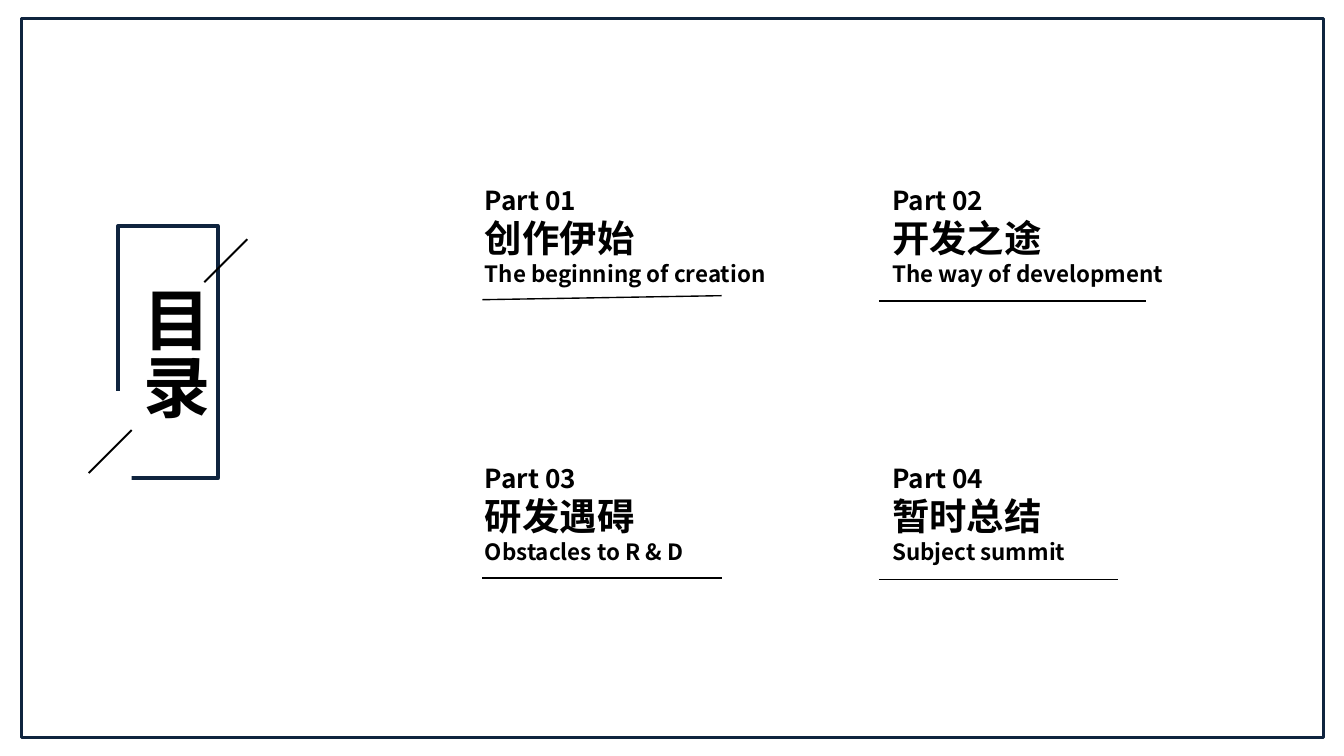
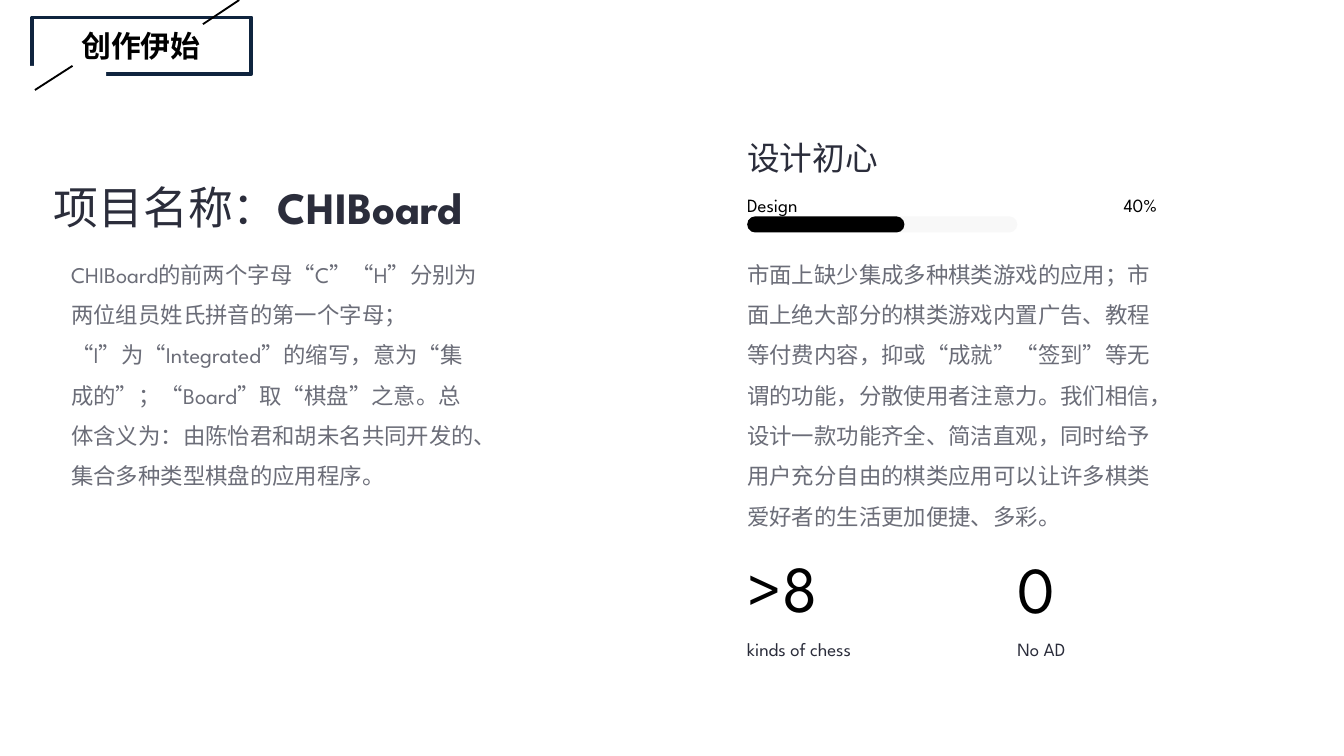
from dataclasses import dataclass
from typing import NamedTuple

from lxml import etree
from pptx import Presentation
from pptx.dml.color import RGBColor
from pptx.enum.shapes import MSO_CONNECTOR, MSO_SHAPE
from pptx.enum.text import MSO_AUTO_SIZE, PP_ALIGN
from pptx.oxml.ns import qn
from pptx.util import Inches, Pt

RECT = MSO_SHAPE.RECTANGLE
ROUND = MSO_SHAPE.ROUNDED_RECTANGLE
STRAIGHT = MSO_CONNECTOR.STRAIGHT
GROW = MSO_AUTO_SIZE.SHAPE_TO_FIT_TEXT
LEFT, CENTER, RIGHT = PP_ALIGN.LEFT, PP_ALIGN.CENTER, PP_ALIGN.RIGHT


@dataclass(frozen=True)
class Theme:
    navy: str = "0F243E"
    white: str = "FFFFFF"
    black: str = "000000"
    heading: str = "2B2D3B"
    body: str = "6B6D78"
    track: str = "BFBFBF"
    sans: str = "Noto Sans CJK SC"
    title_font: str = "Arial"
    latin: str = "League Spartan"
    contents: float = 36
    figure: float = 35
    project: float = 24
    part_title: float = 20
    subhead: float = 17.5
    section: float = 16
    tag: float = 14
    text: float = 12
    label: float = 10


T = Theme()


class Box(NamedTuple):
    x: float
    y: float
    w: float
    h: float


class Run(NamedTuple):
    text: str
    size: float
    font: str = T.latin
    color: str = T.black
    bold: bool = False


class Segment(NamedTuple):
    x1: float
    y1: float
    x2: float
    y2: float


@dataclass(frozen=True)
class Badge:
    frame: Box
    gap: Box
    slashes: tuple[Segment, Segment]
    label: Box
    run: Run
    vertical: bool = False


@dataclass(frozen=True)
class Part:
    title: str
    subtitle: str
    rule: Segment


@dataclass(frozen=True)
class Note:
    box: Box
    runs: tuple[Run, ...]
    wrap: bool = False
    align: PP_ALIGN = LEFT
    spacing: float = 1.5


def add_shape(slide, kind, box: Box, fill: str | None = None,
              line: str | None = None, width: float = 1):
    s = slide.shapes.add_shape(kind, *map(Inches, box))
    s.shadow.inherit = False
    if fill:
        s.fill.solid()
        s.fill.fore_color.rgb = RGBColor.from_string(fill)
    else:
        s.fill.background()
    if line:
        s.line.color.rgb = RGBColor.from_string(line)
        s.line.width = Pt(width)
    else:
        s.line.fill.background()
    return s


def add_line(slide, seg: Segment, width: float) -> None:
    s = slide.shapes.add_connector(STRAIGHT, *map(Inches, seg))
    s.line.color.rgb = RGBColor.from_string(T.black)
    s.line.width = Pt(width)
    etree.SubElement(s.element.spPr, qn("a:effectLst"))


def add_run(p, run: Run) -> None:
    r = p.add_run()
    r.text = run.text
    formats = {"name": run.font, "size": Pt(run.size), "bold": run.bold}
    for name, value in formats.items():
        setattr(r.font, name, value)
    r.font.color.rgb = RGBColor.from_string(run.color)
    props = r.font._element
    props.set("lang", "zh-CN")
    etree.SubElement(props, qn("a:ea")).set("typeface", T.sans)


def add_text(slide, box: Box, paragraphs: list[tuple[Run, ...]],
             align: PP_ALIGN = LEFT, spacing: float = 1, wrap: bool = True,
             inset: bool = True):
    s = slide.shapes.add_textbox(*map(Inches, box))
    tf = s.text_frame
    formats = {"word_wrap": wrap, "auto_size": GROW}
    if not inset:
        sides = ("left", "top", "right", "bottom")
        formats |= {f"margin_{side}": 0 for side in sides}
    for name, value in formats.items():
        setattr(tf, name, value)
    for i, runs in enumerate(paragraphs):
        p = tf.add_paragraph() if i else tf.paragraphs[0]
        p.alignment = align
        p.line_spacing = spacing
        for run in runs:
            add_run(p, run)
    return s


def add_badge(slide, badge: Badge) -> None:
    add_shape(slide, RECT, badge.frame, line=T.navy, width=2)
    add_shape(slide, RECT, badge.gap, fill=T.white)
    for seg in badge.slashes:
        add_line(slide, seg, 1)
    align = LEFT if badge.vertical else CENTER
    s = add_text(slide, badge.label, [(badge.run,)], align)
    if badge.vertical:
        s.element.txBody.bodyPr.set("vert", "eaVert")


def add_part(slide, index: int, part: Part) -> None:
    row, col = divmod(index, 2)
    box = Box(3.51 + 3.03 * col, 1.32 + 2.07 * row, 3.71 - 1.47 * col, 0.88)
    lines = ((f"Part {index + 1:02}", T.tag), (part.title, T.part_title),
             (part.subtitle, T.text))
    add_text(slide, box, [(Run(text, size, T.sans, bold=True),) for text, size in lines])
    add_line(slide, part.rule, 0.75)


def add_progress(slide, track: Box, done: float) -> None:
    for width, color in ((track.w, T.track), (done, T.black)):
        s = add_shape(slide, ROUND, track._replace(w=width), fill=color)
        s.adjustments[0] = 0.5
        if color == T.track:
            rgb = s.element.spPr.find(qn("a:solidFill")).find(qn("a:srgbClr"))
            etree.SubElement(rgb, qn("a:alpha")).set("val", "10000")


CONTENTS = Badge(
    Box(0.88, 1.68, 0.74, 1.88), Box(0.83, 2.91, 0.15, 0.91),
    (Segment(1.84, 1.78, 1.52, 2.1), Segment(0.98, 3.2, 0.66, 3.52)),
    Box(0.84, 2.03, 0.81, 1.23),
    Run("目录", T.contents, T.title_font, bold=True), True)

SECTION = Badge(
    Box(0.24, 0.13, 1.63, 0.42), Box(0, 0.49, 0.79, 0.08),
    (Segment(1.78, 0, 1.51, 0.18), Segment(0.54, 0.49, 0.26, 0.67)),
    Box(-0.05, 0.16, 2.2, 0.37),
    Run("创作伊始", T.section, T.title_font, bold=True))

PARTS = (
    Part("创作伊始", "The beginning of creation", Segment(3.59, 2.23, 5.37, 2.2)),
    Part("开发之途", "The way of development", Segment(6.54, 2.24, 8.53, 2.24)),
    Part("研发遇碍", "Obstacles to R & D", Segment(3.59, 4.3, 5.37, 4.3)),
    Part("暂时总结", "Subject summit", Segment(6.54, 4.31, 8.32, 4.31)),
)

NAME_STORY = (
    "CHIBoard的前两个字母“C”“H”分别为两位组员姓氏拼音的第一个字母；"
    "“I”为“Integrated”的缩写，意为“集成的”；“Board”取“棋盘”之意。"
    "总体含义为：由陈怡君和胡未名共同开发的、集合多种类型棋盘的应用程序。")
DESIGN_STORY = (
    "市面上缺少集成多种棋类游戏的应用；市面上绝大部分的棋类游戏内置广告、"
    "教程等付费内容，抑或“成就”“签到”等无谓的功能，分散使用者注意力。"
    "我们相信，设计一款功能齐全、简洁直观，同时给予用户充分自由的棋类应用"
    "可以让许多棋类爱好者的生活更加便捷、多彩。")

COL = 5.56
COL2 = 7.57
NOTES = (
    Note(Box(0.4, 1.14, 3.23, 0.53),
         (Run("项目名称：", T.project, color=T.heading),
          Run("CHIBoard", T.project, color=T.heading, bold=True))),
    Note(Box(0.53, 1.84, 3.06, 1.78),
         (Run(NAME_STORY, T.text, color=T.body),), wrap=True),
    Note(Box(COL, 0.88, 0.98, 0.39), (Run("设计初心", T.subhead, color=T.heading),)),
    Note(Box(COL, 1.36, 0.46, 0.22), (Run("Design", T.label),)),
    Note(Box(8.35, 1.36, 0.26, 0.22), (Run("40%", T.label),), align=RIGHT),
    Note(Box(COL, 1.84, 3.04, 2.08),
         (Run(DESIGN_STORY, T.text, color=T.body),), wrap=True),
    Note(Box(COL, 4.07, 0.57, 0.59), (Run(">8", T.figure),), spacing=1),
    Note(Box(COL, 4.66, 0.92, 0.22),
         (Run("kinds of chess", T.label, color=T.heading),)),
    Note(Box(COL2, 4.08, 0.54, 0.59), (Run("0", T.figure),), wrap=True, spacing=1),
    Note(Box(COL2, 4.66, 0.44, 0.22), (Run("No AD", T.label, color=T.heading),)),
)


def build_contents(slide) -> None:
    add_shape(slide, RECT, Box(0.16, 0.14, 9.69, 5.35), line=T.navy, width=1.5)
    add_badge(slide, CONTENTS)
    for i, part in enumerate(PARTS):
        add_part(slide, i, part)


def build_project(slide) -> None:
    add_badge(slide, SECTION)
    add_progress(slide, Box(COL, 1.61, 2.01, 0.12), 1.17)
    for note in NOTES:
        add_text(slide, note.box, [note.runs], note.align, note.spacing,
                 note.wrap, inset=False)


prs = Presentation()
prs.slide_width = Inches(10)
prs.slide_height = Inches(10 * 9 / 16)
for build in (build_contents, build_project):
    build(prs.slides.add_slide(prs.slide_layouts[6]))
prs.save("out.pptx")
